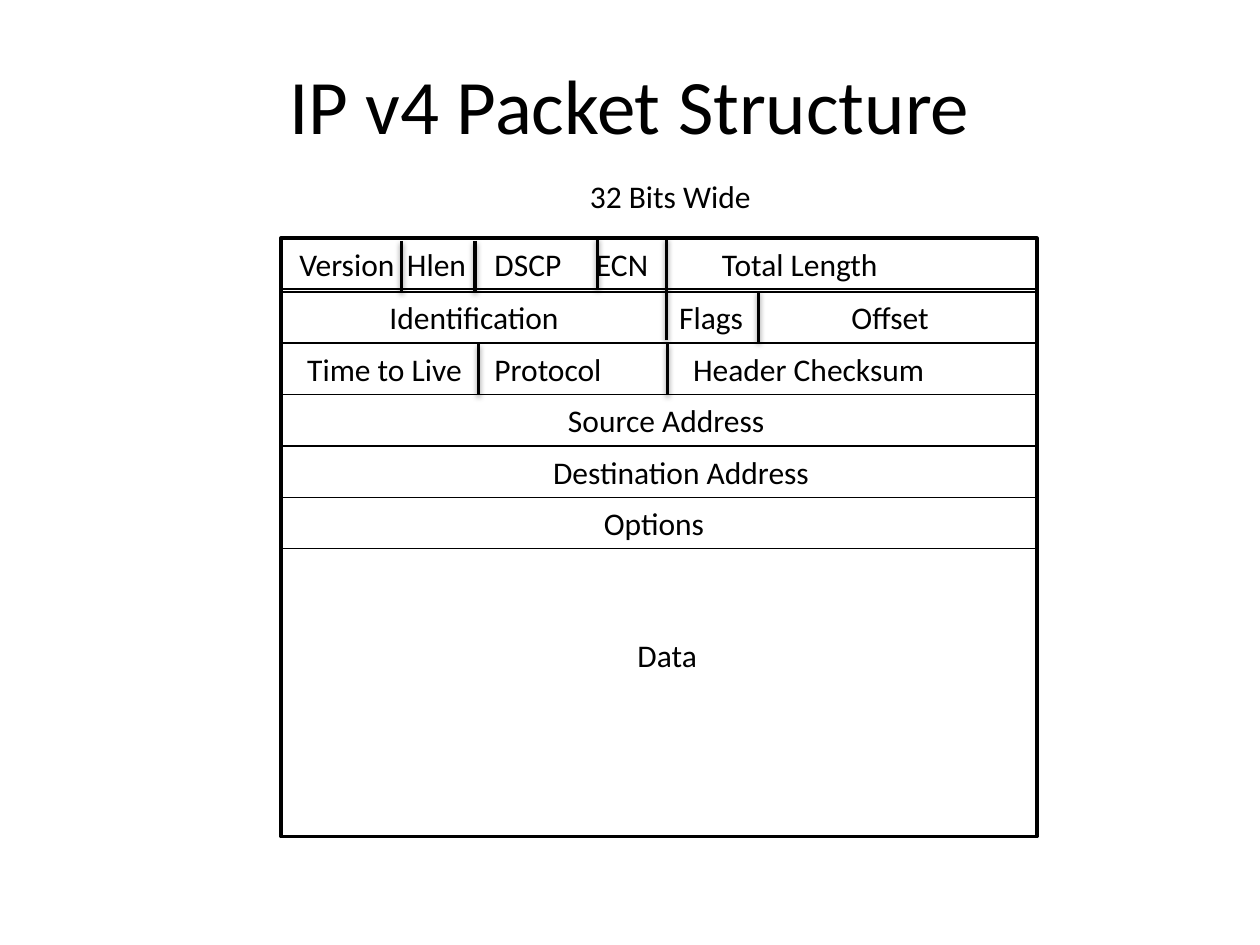
"""Build a slide showing the fields of an IP v4 packet."""
from lxml import etree
from pptx import Presentation
from pptx.dml.color import RGBColor
from pptx.enum.shapes import MSO_CONNECTOR, MSO_SHAPE
from pptx.enum.text import MSO_ANCHOR, PP_ALIGN
from pptx.oxml import parse_xml
from pptx.util import Pt

NS = "http://schemas.openxmlformats.org/drawingml/2006/main"
INK = "000000"
SHADOW = (
    f'<a:effectLst xmlns:a="{NS}"><a:outerShdw blurRad="{Pt(3.1)}" dist="{Pt(1.6)}" '
    f'dir="5400000" rotWithShape="0"><a:srgbClr val="{INK}"><a:alpha val="38000"/>'
    "</a:srgbClr></a:outerShdw></a:effectLst>"
)


def paint(color, code):
    color.rgb = RGBColor.from_string(code)


def write(shape, labels, size=18, align=PP_ALIGN.LEFT):
    """Write each label at its tab stop, or plainly where the stop is None."""
    frame = shape.text_frame
    frame.word_wrap = True
    frame.vertical_anchor = MSO_ANCHOR.MIDDLE
    para = frame.paragraphs[0]
    para.alignment = align
    stops = [stop for stop, _ in labels if stop is not None]
    if stops:
        tabs = etree.SubElement(para._p.get_or_add_pPr(), f"{{{NS}}}tabLst")
        for stop in stops:
            etree.SubElement(tabs, f"{{{NS}}}tab", pos=str(Pt(stop)), algn="l")
    for stop, label in labels:
        run = para.add_run()
        run.text = label if stop is None else "\t" + label
        run.font.size = Pt(size)
        run.font.name = "Calibri"
        paint(run.font.color, INK)


deck = Presentation()
deck.slide_width, deck.slide_height = Pt(720), Pt(540)
slide = deck.slides.add_slide(deck.slide_layouts[6])
shapes = slide.shapes

left, top, width, high = 160.5, 136, 432, 29.1

title = shapes.add_textbox(Pt(36), Pt(21.6), Pt(648), Pt(75.6))
write(title, [(None, "IP v4 Packet Structure")], 44, PP_ALIGN.CENTER)

packet = shapes.add_shape(MSO_SHAPE.RECTANGLE, Pt(left), Pt(top), Pt(width), Pt(342))
packet.shadow.inherit = False
packet.fill.solid()
paint(packet.fill.fore_color, "FFFFFF")
packet.line.width = Pt(2)
paint(packet.line.color, INK)

rows = [
    (136, [(3.5, "Version"), (65, "Hlen"), (115, "DSCP"), (173, "ECN"), (245, "Total Length")]),
    (166.8, [(55, "Identification"), (220.5, "Flags"), (319, "Offset")]),
    (196.3, [(8, "Time to Live"), (115, "Protocol"), (228.5, "Header Checksum")]),
    (225.5, [(157, "Source Address")]),
    (255.3, [(148.5, "Destination Address")]),
    (284.4, [(177.5, "Options")]),
]
for y, labels in rows:
    row = shapes.add_shape(MSO_SHAPE.RECTANGLE, Pt(left), Pt(y), Pt(width), Pt(high))
    row.shadow.inherit = False
    row.fill.background()
    row.line.width = Pt(0.75)
    paint(row.line.color, INK)
    write(row, labels)

data = shapes.add_textbox(Pt(329), Pt(359.5), Pt(104.5), Pt(high))
write(data, [(None, "Data")], align=PP_ALIGN.CENTER)
wide = shapes.add_textbox(Pt(306), Pt(97.5), Pt(180), Pt(high))
write(wide, [(24, "32 Bits Wide")])

bars = [
    (381, 136), (229.5, 137.7), (271.5, 137.7), (341.5, 136),
    (381, 165), (433.5, 166.3), (381.5, 196.5), (273.5, 196.5),
]
for x, y in bars:
    bar = shapes.add_connector(MSO_CONNECTOR.STRAIGHT, Pt(x), Pt(y), Pt(x), Pt(y + high))
    bar.line.width = Pt(2)
    paint(bar.line.color, INK)
    bar._element.spPr.append(parse_xml(SHADOW))

deck.save("out.pptx")
